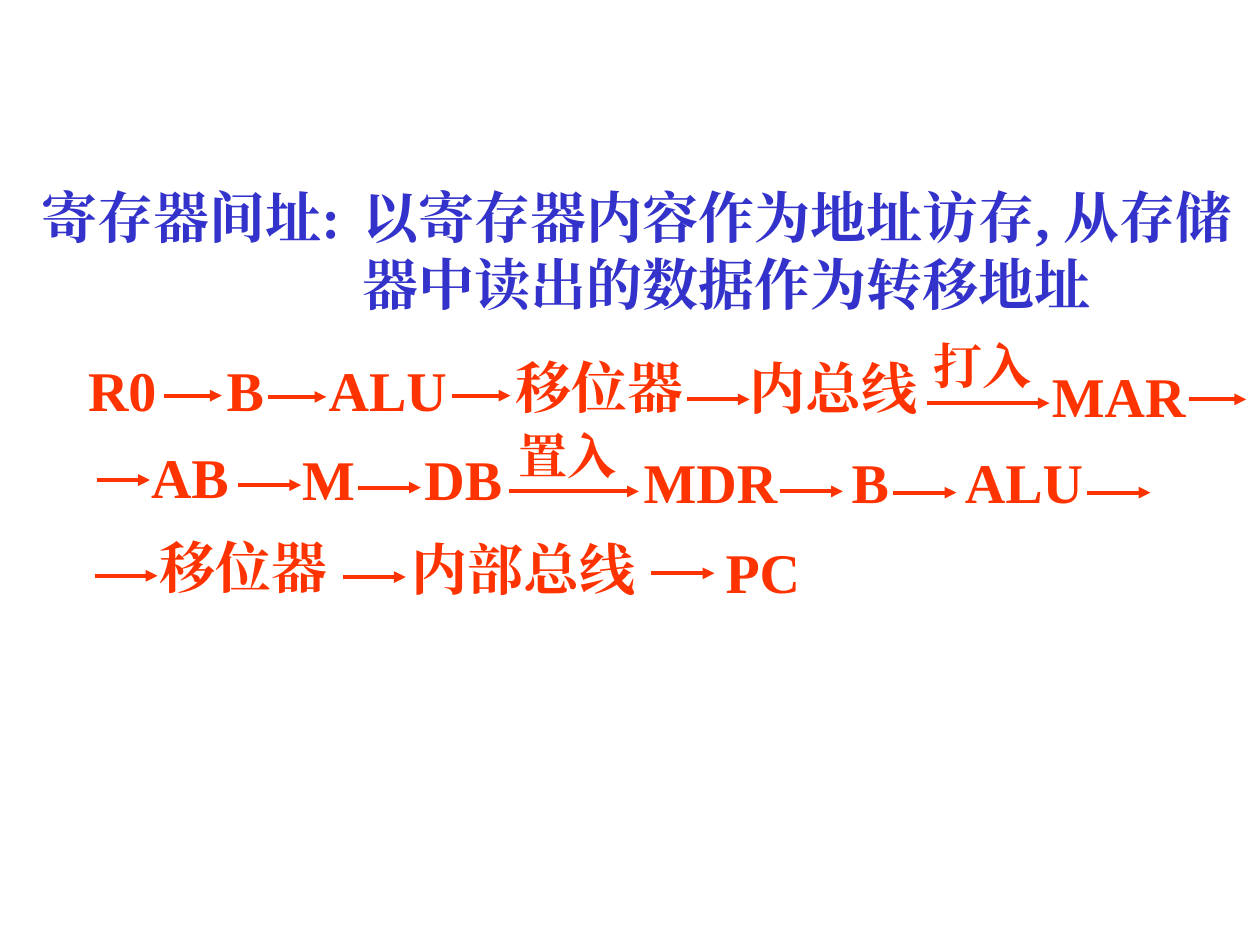
from dataclasses import dataclass

from pptx import Presentation
from pptx import util as u
from pptx.dml.color import RGBColor
from pptx.enum import shapes, text
from pptx.oxml.ns import qn
from lxml import etree

EMU_PER_PX = 9144  # 100 px to the inch


def px(length):
    return u.Emu(length * EMU_PER_PX)


@dataclass(frozen=True)
class Theme:
    font: str = "Times New Roman"
    heading: RGBColor = RGBColor(0x33, 0x33, 0xCC)
    flow: RGBColor = RGBColor(0xFF, 0x33, 0x00)
    body_size: int = 32
    label_size: int = 28
    line_width: float = 2.25


class SlideBuilder:
    def __init__(self, slide, theme):
        self.slide = slide
        self.theme = theme

    def words(self, content, left, top, width, height, size, color):
        box = self.slide.shapes.add_textbox(px(left), px(top), px(width), px(height))
        frame = box.text_frame
        frame.word_wrap = True
        frame.auto_size = text.MSO_AUTO_SIZE.SHAPE_TO_FIT_TEXT
        run = frame.paragraphs[0].add_run()
        run.text = content
        run.font.size = u.Pt(size)
        run.font.bold = True
        run.font.color.rgb = color
        run.font.name = self.theme.font
        # Chinese text takes the East Asian typeface
        properties = run.font._element
        properties.set("lang", "zh-CN")
        properties.find(qn("a:latin")).addnext(
            etree.Element(qn("a:ea"), typeface=self.theme.font))

    def heading(self, content, left, top, width, height):
        self.words(content, left, top, width, height,
                   self.theme.body_size, self.theme.heading)

    def step(self, content, left, top, width):
        self.words(content, left, top, width, 64,
                   self.theme.body_size, self.theme.flow)

    def label(self, content, left, top):
        self.words(content, left, top, 117, 57,
                   self.theme.label_size, self.theme.flow)

    def arrow(self, start, end, y):
        line = self.slide.shapes.add_connector(
            shapes.MSO_CONNECTOR.STRAIGHT, px(start), px(y), px(end), px(y))
        line.line.color.rgb = self.theme.flow
        line.line.width = u.Pt(self.theme.line_width)
        etree.SubElement(line.line._get_or_add_ln(), qn("a:tailEnd"), type="triangle")
        etree.SubElement(line._element.spPr, qn("a:effectLst"))


# Steps of the data path: text, left, top, width
STEPS = [
    ("R0", 60, 277, 92), ("B", 170, 277, 92), ("ALU", 251, 277, 127),
    ("移位器", 399, 275, 193), ("内总线", 585, 276, 177), ("MAR", 825, 282, 150),
    ("AB", 110, 346, 92), ("M", 230, 348, 92), ("DB", 327, 348, 92),
    ("MDR", 501, 350, 137), ("B", 666, 350, 92), ("ALU", 756, 350, 125),
    ("移位器", 117, 418, 158), ("内部总线", 317, 419, 215), ("PC", 566, 422, 92),
]

# Arrows between the steps: start, end, y
ARROWS = [
    (130, 176, 314), (213, 259, 315), (359, 405, 314),
    (545, 595, 317), (736, 833, 320), (944, 989, 317),
    (77, 119, 381), (189, 239, 385), (284, 334, 387), (404, 507, 390),
    (619, 669, 390), (709, 759, 391), (863, 913, 391),
    (75, 125, 457), (272, 322, 458), (517, 567, 455),
]

# Labels above the long arrows: text, left, top
LABELS = [("打入", 731, 261), ("置入", 402, 333)]


def main():
    deck = Presentation()
    deck.slide_width, deck.slide_height = px(1000), px(750)
    builder = SlideBuilder(deck.slides.add_slide(deck.slide_layouts[6]), Theme())

    # Term and its definition
    builder.heading("寄存器间址:", 23, 140, 297, 64)
    builder.heading("以寄存器内容作为地址访存, 从存储器中读出的数据作为转移地址",
                    278, 140, 718, 117)

    # Data path
    for step in STEPS:
        builder.step(*step)
    for arrow in ARROWS:
        builder.arrow(*arrow)
    for label in LABELS:
        builder.label(*label)

    deck.save("out.pptx")


if __name__ == "__main__":
    main()
